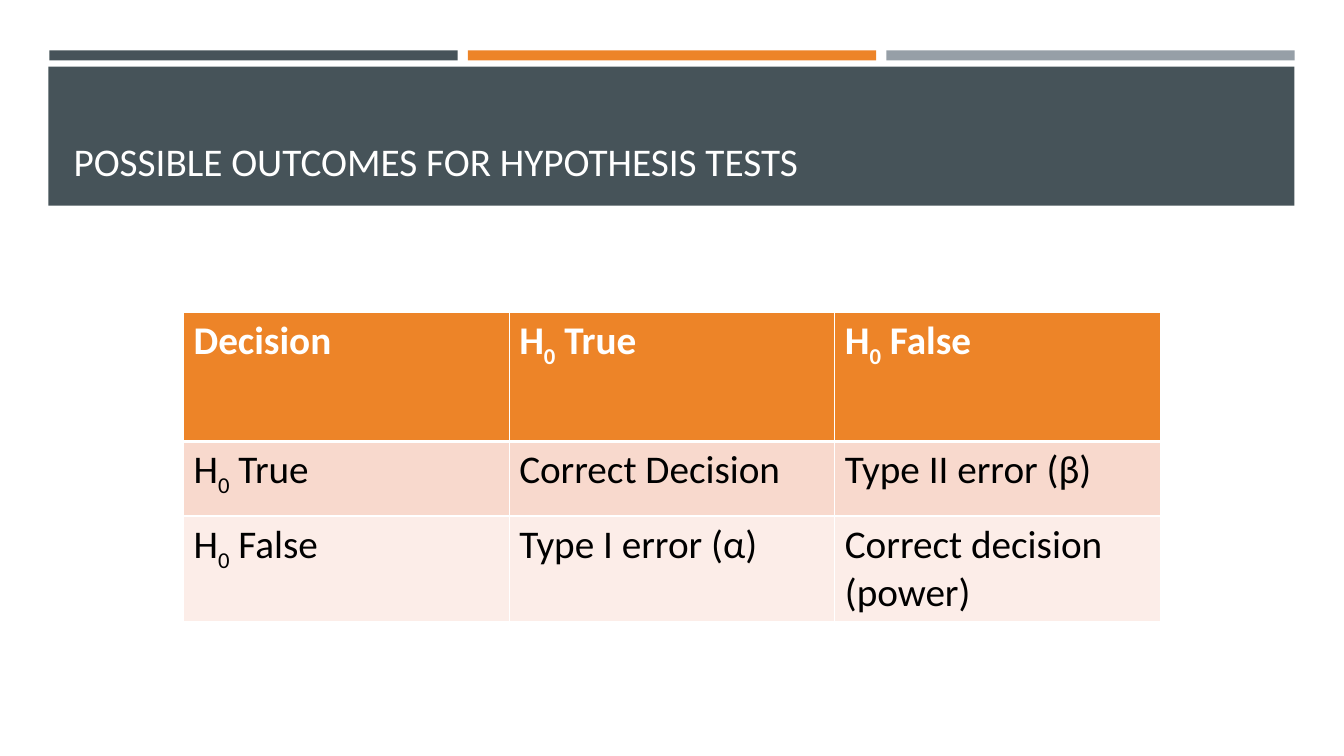
from lxml.etree import SubElement
from pptx import Presentation
from pptx.dml.color import RGBColor
from pptx.enum.shapes import MSO_SHAPE
from pptx.enum.text import MSO_ANCHOR, PP_ALIGN
from pptx.oxml.ns import qn
from pptx.util import Inches, Pt

SLATE = RGBColor(0x46, 0x53, 0x59)
ORANGE = RGBColor(0xED, 0x84, 0x28)
GRAY = RGBColor(0x96, 0x9F, 0xA7)
PEACH = RGBColor(0xF8, 0xD9, 0xCD)
PALE_PEACH = RGBColor(0xFC, 0xED, 0xE8)
WHITE = RGBColor(0xFF, 0xFF, 0xFF)
BLACK = RGBColor(0x00, 0x00, 0x00)


def write_text(frame, text, color, bold=False, size=28):
    """Write one paragraph; each ₀ becomes a lowered 0."""
    para = frame.paragraphs[0]
    para.alignment = PP_ALIGN.LEFT
    before, zero, after = text.partition("₀")
    for part in filter(None, (before, zero, after)):
        span = para.add_run()
        span.text = "0" if part == "₀" else part
        span.font.name = "Calibri"
        span.font.size = Pt(size)
        span.font.bold = bold
        span.font.color.rgb = color
        if part == "₀":
            span.font._element.set("baseline", "-25000")


def add_border(cell, side, width):
    line = SubElement(cell._tc.get_or_add_tcPr(), qn(f"a:ln{side}"), w=str(Pt(width)))
    fill = SubElement(line, qn("a:solidFill"))
    SubElement(fill, qn("a:srgbClr"), val=str(WHITE))


deck = Presentation()
deck.slide_width = Inches(13.33)
deck.slide_height = Inches(7.5)
page = deck.slides.add_slide(deck.slide_layouts[5])

# Header bars and title band
bars = [(0.49 + 4.15 * i, 0.5, 4.05, 0.1, color)
        for i, color in enumerate((SLATE, ORANGE, GRAY))]
for left, top, width, height, color in bars + [(0.48, 0.66, 12.36, 1.38, SLATE)]:
    box = page.shapes.add_shape(MSO_SHAPE.RECTANGLE, Inches(left), Inches(top),
                                Inches(width), Inches(height))
    box.shadow.inherit = False
    box.fill.solid()
    box.fill.fore_color.rgb = color
    box.line.fill.background()

# Title, brought in front of its band
title = page.shapes.title
title.left, title.top = Inches(0.63), Inches(0.8)
title.width, title.height = Inches(12.06), Inches(1.08)
title.text_frame.vertical_anchor = MSO_ANCHOR.BOTTOM
write_text(title.text_frame, "POSSIBLE OUTCOMES FOR HYPOTHESIS TESTS", WHITE)
page.shapes.element.append(title.element)

# Outcome table
outcomes = [
    ("Decision", "H₀ True", "H₀ False"),
    ("H₀ True", "Correct Decision", "Type II error (β)"),
    ("H₀ False", "Type I error (α)", "Correct decision (power)"),
]
row_heights = (1.28, 0.74, 1.03)
row_fills = (ORANGE, PEACH, PALE_PEACH)
table = page.shapes.add_table(3, 3, Inches(1.82), Inches(3.1),
                              Inches(9.69), Inches(sum(row_heights))).table
for column in table.columns:
    column.width = Inches(3.23)
for r, (texts, height, color) in enumerate(zip(outcomes, row_heights, row_fills)):
    table.rows[r].height = Inches(height)
    is_header = r == 0
    for c, text in enumerate(texts):
        cell = table.cell(r, c)
        for side in "LRTB":
            under_header = (r, side) in ((0, "B"), (1, "T"))
            add_border(cell, side, 3 if under_header else 1)
        cell.fill.solid()
        cell.fill.fore_color.rgb = color
        write_text(cell.text_frame, text, WHITE if is_header else BLACK, bold=is_header)

deck.save("out.pptx")
